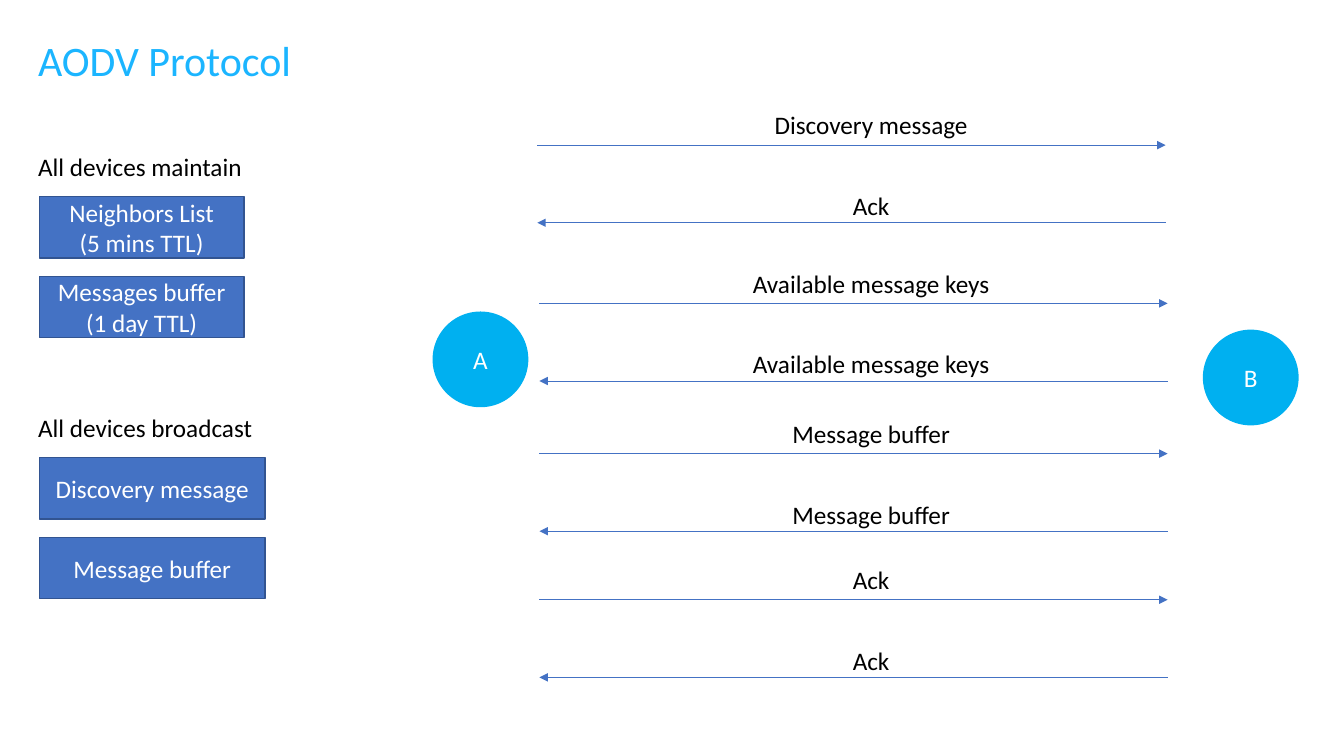
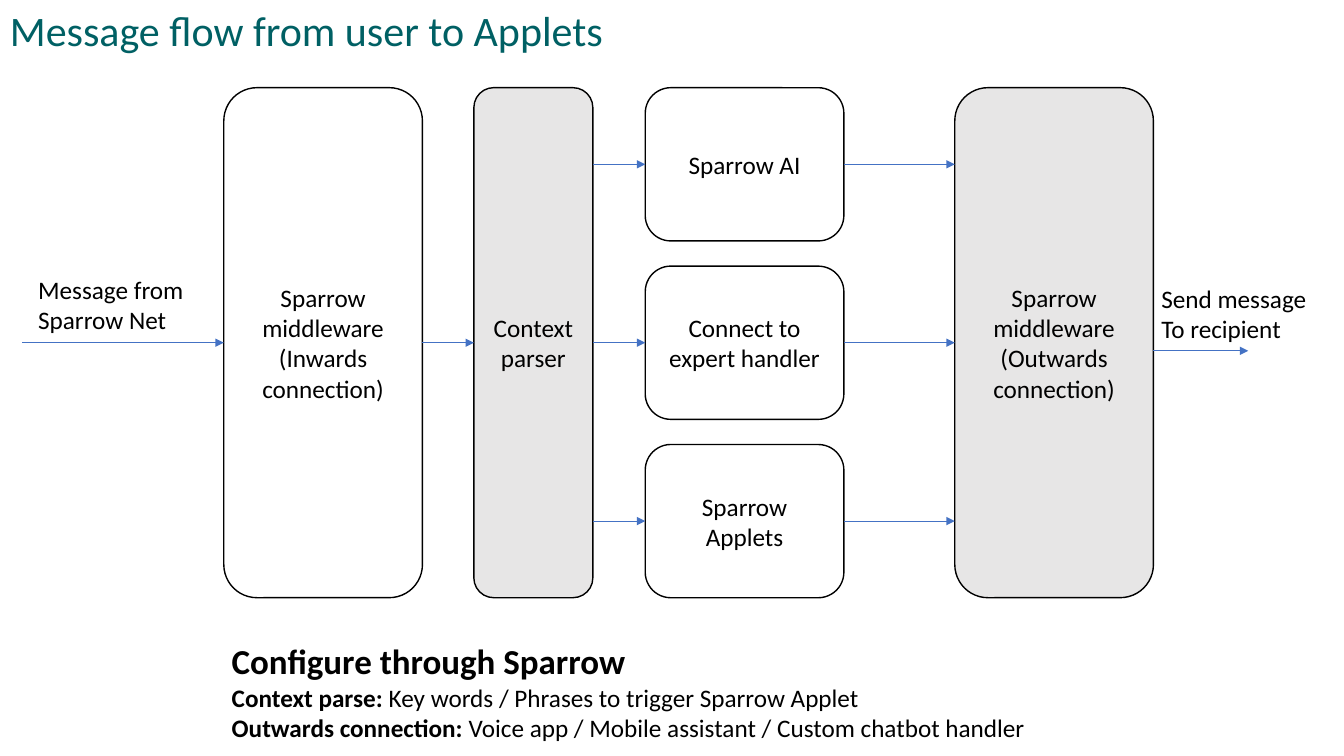
from pptx import Presentation
from pptx.dml.color import RGBColor
from pptx.enum.shapes import MSO_CONNECTOR, MSO_SHAPE
from pptx.enum.text import MSO_ANCHOR, PP_ALIGN
from pptx.oxml.ns import qn
from pptx.util import Inches, Pt
from lxml import etree

RECT, ROUND, OVAL = MSO_SHAPE.RECTANGLE, MSO_SHAPE.ROUNDED_RECTANGLE, MSO_SHAPE.OVAL
STRAIGHT = MSO_CONNECTOR.STRAIGHT
LEFT, CENTER = PP_ALIGN.LEFT, PP_ALIGN.CENTER
MIDDLE = MSO_ANCHOR.MIDDLE
FONT = "Calibri"
BLACK, WHITE, GREY = "000000", "FFFFFF", "E7E6E6"
BLUE, NAVY, SKY = "4472C4", "325491", "00B0F0"
color = RGBColor.from_string


def put(slide, box, text, form=None, fill=None, edge=None, ink=BLACK, size=18, align=CENTER):
    """Place text in a shape, or in a plain text box when form is None."""
    place = [Inches(v) for v in box]
    if form is None:
        item = slide.shapes.add_textbox(*place)
    else:
        item = slide.shapes.add_shape(form, *place)
        item.shadow.inherit = False
        item.fill.solid()
        item.fill.fore_color.rgb = color(fill)
        if edge:
            item.line.color.rgb = color(edge)
            item.line.width = Pt(1)
        else:
            item.line.fill.background()
        item.text_frame.vertical_anchor = MIDDLE
    frame = item.text_frame
    frame.word_wrap = True
    frame.text = text
    for para in frame.paragraphs:
        para.alignment = align
        para.font.name = FONT
        para.font.size = Pt(size)
        para.font.color.rgb = color(ink)
    return item


def arrow(slide, start, end, y):
    """Draw a level arrow from start to end."""
    line = slide.shapes.add_connector(STRAIGHT, Inches(start), Inches(y), Inches(end), Inches(y))
    line.line.color.rgb = color(BLUE)
    line.line.width = Pt(0.5)
    etree.SubElement(line.line._get_or_add_ln(), qn("a:tailEnd"), type="triangle")
    etree.SubElement(line._element.spPr, qn("a:effectLst"))
    return line


deck = Presentation()
deck.slide_width, deck.slide_height = Inches(13.33), Inches(7.5)
blank = deck.slide_layouts[6]

# Slide 1: protocol
slide = deck.slides.add_slide(blank)
put(slide, (0.28, 0.29, 3.56, 0.61), "AODV Protocol", ink="1BB5FF", size=30, align=LEFT)

# What devices keep and send
groups = [
    (1.45, 2.03, "All devices maintain",
     ["Neighbors List\n(5 mins TTL)", "Messages buffer (1 day TTL)"]),
    (4.04, 2.24, "All devices broadcast", ["Discovery message", "Message buffer"]),
]
for top, width, head, items in groups:
    put(slide, (0.28, top, 2.6, 0.4), head, align=LEFT)
    for i, text in enumerate(items):
        put(slide, (0.39, top + 0.5 + 0.79 * i, width, 0.61), text, RECT, BLUE, NAVY, WHITE)

# The two peers
for x, y, name in [(4.29, 3.09, "A"), (11.93, 3.27, "B")]:
    put(slide, (x, y, 0.95, 0.95), name, OVAL, SKY, ink=WHITE)

# Each message goes there and back
trades = [
    (5.33, 1.04, "Discovery message", "Ack"),
    (5.35, 2.61, "Available message keys", "Available message keys"),
    (5.35, 4.1, "Message buffer", "Message buffer"),
    (5.35, 5.55, "Ack", "Ack"),
]
for x, top, there, back in trades:
    far = x + 6.23
    put(slide, (7.14, top, 3, 0.4), there)
    arrow(slide, x, far, top + 0.4)
    put(slide, (7.14, top + 0.8, 3, 0.4), back)
    arrow(slide, far, x, top + 1.17)

# Slide 2: message flow
slide = deck.slides.add_slide(blank)
put(slide, (0, 0, 13.1, 0.61), "Message flow from user to Applets", ink="006064", size=30, align=LEFT)

# Tall stages
TOP, TALL, MID = 0.87, 5.06, 3.4
stages = [
    (2.22, 1.97, "Sparrow middleware\n(Inwards connection)", WHITE),
    (4.7, 1.18, "Context parser", GREY),
    (9.47, 1.97, "Sparrow middleware\n(Outwards connection)", GREY),
]
inward, parser, outward = [
    put(slide, (x, TOP, width, TALL), text, ROUND, fill, BLACK)
    for x, width, text, fill in stages
]

# Handlers between parser and outward stage
for i, text in enumerate(["Sparrow AI", "Connect to expert handler", "Sparrow Applets"]):
    y = TOP + 1.77 * i
    card = put(slide, (6.4, y, 1.97, 1.52), text, ROUND, WHITE, BLACK)
    enter = arrow(slide, 5.88, 6.4, y + 0.76)
    enter.end_connect(card, 1)
    leave = arrow(slide, 8.37, 9.47, y + 0.76)
    leave.begin_connect(card, 3)
    if i == 1:
        enter.begin_connect(parser, 3)
        leave.end_connect(outward, 1)

# Way in and way out
arrow(slide, 0.22, 2.22, MID).end_connect(inward, 1)
link = arrow(slide, 4.19, 4.7, MID)
link.begin_connect(inward, 3)
link.end_connect(parser, 1)
arrow(slide, 11.44, 12.38, 3.48)
put(slide, (0.28, 2.67, 1.85, 0.71), "Message from\nSparrow Net", align=LEFT)
put(slide, (11.42, 2.76, 1.85, 0.71), "Send message\nTo recipient", align=LEFT)

# Setup notes
notes = put(slide, (2.2, 6.3, 8.6, 1.13), "Configure through Sparrow", size=25, align=LEFT)
notes.text_frame.paragraphs[0].font.bold = True
for label, text in [
    ("Context parse: ", "Key words / Phrases to trigger Sparrow Applet"),
    ("Outwards connection: ", "Voice app / Mobile assistant / Custom chatbot handler"),
]:
    para = notes.text_frame.add_paragraph()
    para.font.name = FONT
    para.font.size = Pt(18)
    para.font.color.rgb = color(BLACK)
    run = para.add_run()
    run.text = label
    run.font.bold = True
    para.add_run().text = text

deck.save("out.pptx")
